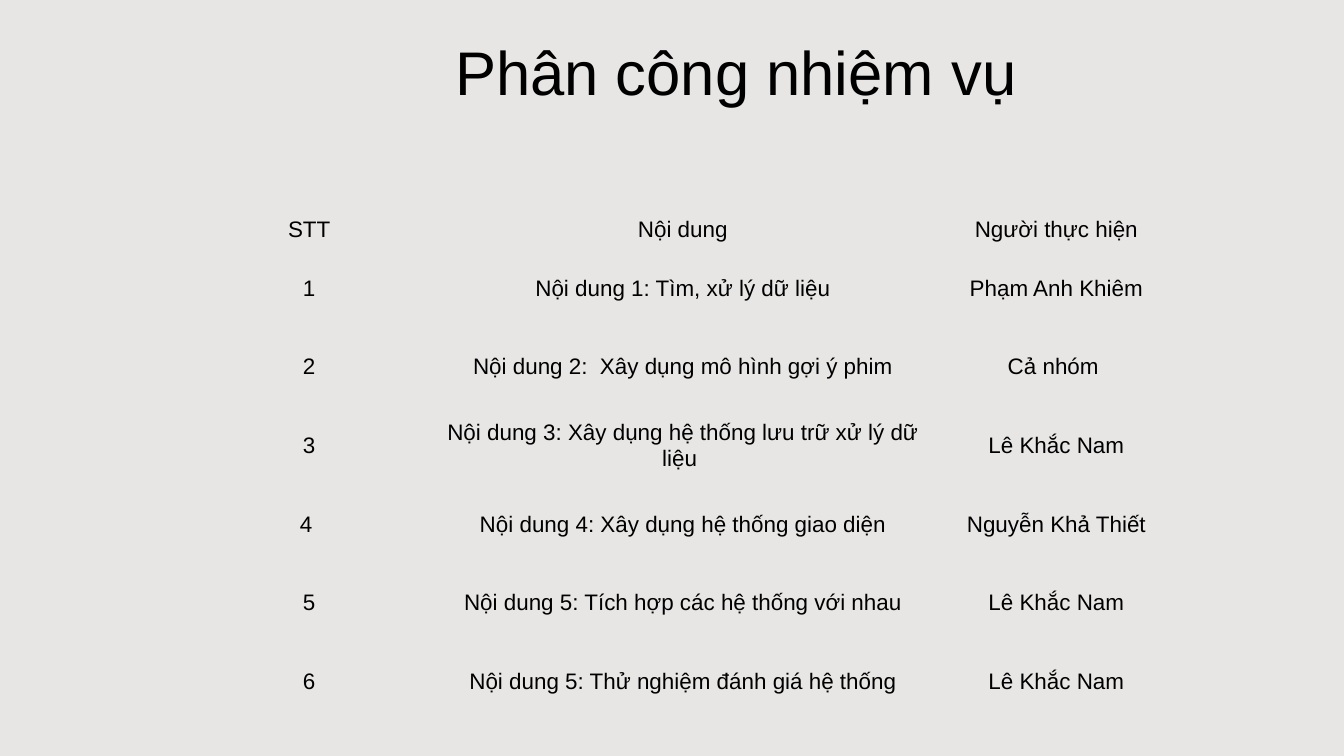
from dataclasses import dataclass

from pptx import Presentation
from pptx.dml.color import RGBColor
from pptx.enum.text import MSO_ANCHOR, MSO_AUTO_SIZE, PP_ALIGN
from pptx.oxml.ns import qn
from pptx.util import Inches, Pt

CENTER = PP_ALIGN.CENTER
MIDDLE = MSO_ANCHOR.MIDDLE
GROW = MSO_AUTO_SIZE.SHAPE_TO_FIT_TEXT
NO_STYLE_NO_GRID = "{2D5ABB26-0587-4C30-8999-92F81FD0307C}"


@dataclass(frozen=True)
class Theme:
    background: RGBColor = RGBColor(0xE8, 0xE6, 0xE5)
    ink: RGBColor = RGBColor(0, 0, 0)
    font: str = "Arial"
    title_size: int = 66
    table_size: int = 24


THEME = Theme()
WIDTH, HEIGHT = Inches(20), Inches(11.25)

# Regions: left, top, width, height in inches
TITLE_BOX = (2.71, 0.28, 16.48, 1.33)
TABLE_BOX = (2.88, 3.11, 14.56, 7.61)

# Relative column widths and row heights: the header is half a body row
COLUMN_SHARES = (3.44, 7.67, 3.44)
HEADER_UNITS, BODY_UNITS = 1, 2

TITLE = "Phân công nhiệm vụ"
ASSIGNMENTS = [
    ("STT", "Nội dung", "Người thực hiện"),
    ("1", "Nội dung 1: Tìm, xử lý dữ liệu", "Phạm Anh Khiêm"),
    ("2", "Nội dung 2:  Xây dụng mô hình gợi ý phim", "Cả nhóm "),
    ("3", "Nội dung 3: Xây dụng hệ thống lưu trữ xử lý dữ liệu ", "Lê Khắc Nam"),
    ("4 ", "Nội dung 4: Xây dụng hệ thống giao diện", "Nguyễn Khả Thiết"),
    ("5", "Nội dung 5: Tích hợp các hệ thống với nhau", "Lê Khắc Nam"),
    ("6", "Nội dung 5: Thử nghiệm đánh giá hệ thống", "Lê Khắc Nam"),
]


def write(tf, text, size, line_spacing, space_after=0):
    """Put one centred paragraph into a text frame."""
    p = tf.paragraphs[0]
    p.text = text
    p.alignment = CENTER
    p.line_spacing = line_spacing
    p.space_after = Pt(space_after)
    p.font.name = THEME.font
    p.font.size = Pt(size)
    p.font.color.rgb = THEME.ink


def add_title(s, box, text):
    tf = s.shapes.add_textbox(*map(Inches, box)).text_frame
    tf.word_wrap = True
    tf.auto_size = GROW
    tf.margin_left = tf.margin_top = tf.margin_right = tf.margin_bottom = 0
    write(tf, text, THEME.title_size, line_spacing=1.2)


def add_assignment_table(s, box, rows):
    width, height = box[2:]
    frame = s.shapes.add_table(len(rows), len(rows[0]), *map(Inches, box))
    table = frame.table

    # Plain table without bands or grid lines
    table.first_row = table.horz_banding = False
    table._tbl.tblPr.find(qn("a:tableStyleId")).text = NO_STYLE_NO_GRID

    # Column and row grid
    for column, share in zip(table.columns, COLUMN_SHARES):
        column.width = Inches(width * share / sum(COLUMN_SHARES))
    units = [HEADER_UNITS] + [BODY_UNITS] * (len(rows) - 1)
    for row, unit in zip(table.rows, units):
        row.height = Inches(height * unit / sum(units))

    # Cells
    for i, values in enumerate(rows):
        for j, value in enumerate(values):
            cell = table.cell(i, j)
            cell.fill.background()
            cell.vertical_anchor = MIDDLE
            cell.margin_left = cell.margin_right = Inches(0.06)
            cell.margin_top = cell.margin_bottom = 0
            write(cell.text_frame, value, THEME.table_size,
                  line_spacing=1.07, space_after=8)


def main():
    prs = Presentation()
    prs.slide_width, prs.slide_height = WIDTH, HEIGHT
    s = prs.slides.add_slide(prs.slide_layouts[6])
    s.background.fill.solid()
    s.background.fill.fore_color.rgb = THEME.background

    add_title(s, TITLE_BOX, TITLE)
    add_assignment_table(s, TABLE_BOX, ASSIGNMENTS)
    prs.save("out.pptx")


if __name__ == "__main__":
    main()
